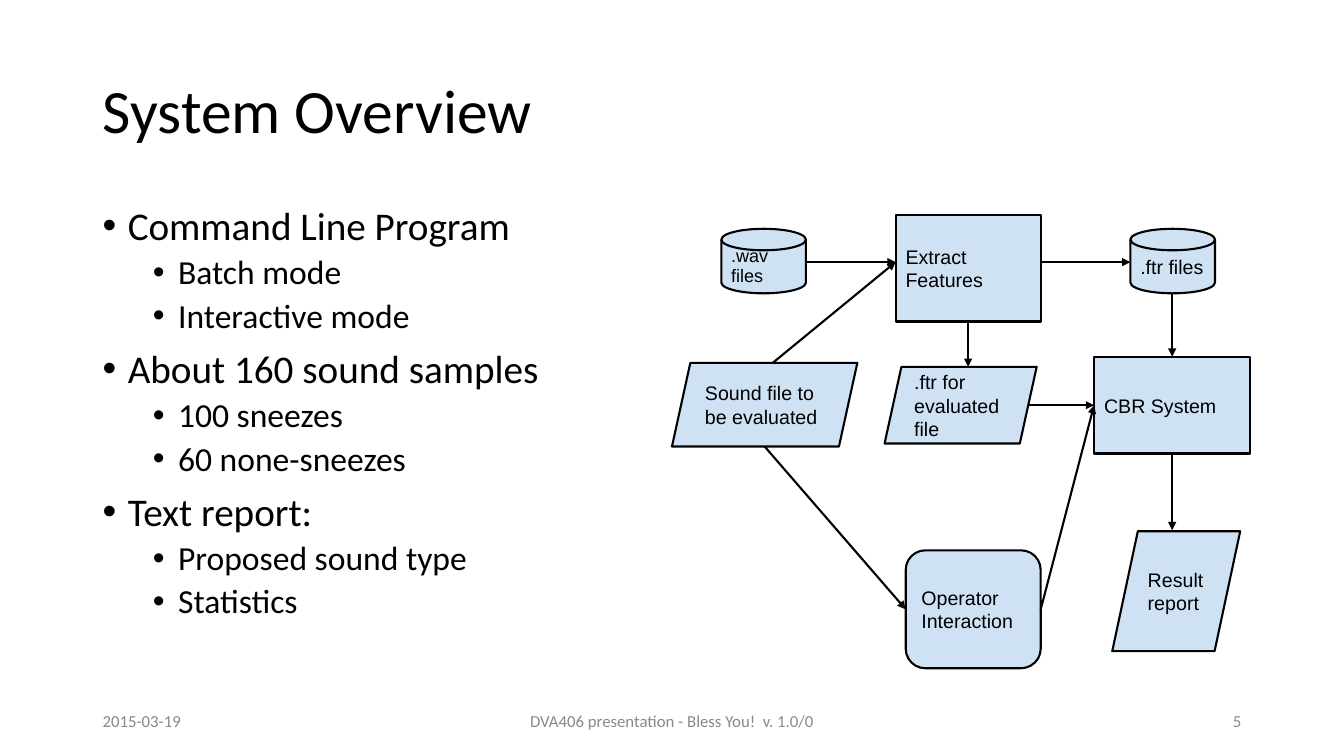
from lxml.etree import SubElement
from pptx import Presentation
from pptx.dml.color import RGBColor
from pptx.enum.shapes import MSO_CONNECTOR as Link, MSO_SHAPE as Kind
from pptx.enum.text import MSO_ANCHOR as Anchor, MSO_AUTO_SIZE as Fit, PP_ALIGN as Align
from pptx.oxml.ns import qn
from pptx.util import Inches, Pt

CELL = 0.1
INK, SKY, GREY = "000000", "CFE2F3", "898989"
TOP, LEFT, BOTTOM, RIGHT = range(4)

OUTLINE = [
    ("Command Line Program", ["Batch mode", "Interactive mode"]),
    ("About 160 sound samples", ["100 sneezes", "60 none-sneezes"]),
    ("Text report:", ["Proposed sound type", "Statistics"]),
]
FOOTER = [
    ("2015-03-19", (9.2, 69.5, 30, 4), Align.LEFT),
    ("DVA406 presentation - Bless You!  v. 1.0/0", (44.2, 69.5, 45, 4), Align.CENTER),
    ("5", (94.2, 69.5, 30, 4), Align.RIGHT),
]
NODES = {
    "extract": (Kind.RECTANGLE, (88.9, 21.3, 14.4, 10.6), "Extract Features"),
    "wav": (Kind.FLOWCHART_MAGNETIC_DISK, (71.6, 22.7, 8.4, 6.4), ".wav files"),
    "ftr": (Kind.FLOWCHART_MAGNETIC_DISK, (112.2, 22.7, 8.4, 6.4), ".ftr files"),
    "cbr": (Kind.RECTANGLE, (108.6, 35.4, 15.5, 9.6), "CBR System"),
    "evaluated": (Kind.PARALLELOGRAM, (87.8, 36.4, 15.1, 7.6), ".ftr for evaluated file"),
    "report": (Kind.FLOWCHART_DATA, (110.4, 52.7, 12.7, 11.9), "Result report"),
    "sound": (Kind.PARALLELOGRAM, (66.7, 36, 18.4, 8.3), "Sound file to be evaluated"),
    "operator": (Kind.ROUNDED_RECTANGLE, (89.9, 54.6, 13.4, 11.7), "Operator Interaction"),
}
TIGHT = {"wav": {"size": 12.9, "spacing": 0.9}}
ARROWS = [
    ((80, 26), (88.9, 26)),
    ((103.3, 26), (112.2, 26)),
    ((116.35, 29.2), ("cbr", TOP)),
    ((102.1, 40.2), ("cbr", LEFT)),
    (("cbr", BOTTOM), (116.35, 52.6)),
    ((76.7, 36), (88.9, 26)),
    (("extract", BOTTOM), (96.1, 36.4)),
    ((75.9, 44.3), ("operator", LEFT)),
    (("operator", RIGHT), ("cbr", LEFT)),
]


def grid(*cells):
    """Turn counts of grid cells into lengths."""
    return [Inches(cell * CELL) for cell in cells]


def apply(target, values):
    """Set each named value on the target."""
    for name, value in values.items():
        setattr(target, name, value)


def paint(color_format, color):
    """Give a colour format its hex colour."""
    color_format.rgb = RGBColor.from_string(color)


def write(para, text, font="Calibri", size=12, color=INK, spacing=1.0, before=0, align=Align.LEFT):
    """Put one styled run in a paragraph."""
    apply(para, {"alignment": align, "line_spacing": spacing, "space_before": Pt(before)})
    span = para.add_run()
    span.text = text
    apply(span.font, {"name": font, "size": Pt(size)})
    paint(span.font.color, color)


def prepare(box, anchor, inset=0.05):
    """Set wrapping, anchor and insets, and return the text frame."""
    frame = box.text_frame
    apply(frame, {
        "word_wrap": True, "auto_size": Fit.NONE, "vertical_anchor": anchor,
        "margin_left": Inches(0.1), "margin_right": Inches(0.1),
        "margin_top": Inches(inset), "margin_bottom": Inches(inset),
    })
    return frame


def add_title(page, text):
    """Place and fill the title placeholder."""
    title = page.shapes.title
    apply(title, dict(zip(("left", "top", "width", "height"), grid(9.2, 4, 115, 14.5))))
    write(prepare(title, Anchor.MIDDLE).paragraphs[0], text, size=44, spacing=0.9)


def add_bullet(para, text, level):
    """Write an outline line with its bullet and hanging indent."""
    size, before, indent = ((28, 10, 0.25), (24, 5, 0.75))[level]
    para.level = level
    write(para, text, size=size, spacing=0.9, before=before)
    props = para._p.get_or_add_pPr()
    props.set("marL", str(Inches(indent)))
    props.set("indent", str(Inches(-0.25)))
    SubElement(props, qn("a:buFont")).set("typeface", "Arial")
    SubElement(props, qn("a:buChar")).set("char", "•")


def add_outline(page):
    """Add the bulleted two-level outline."""
    frame = prepare(page.shapes.add_textbox(*grid(9.2, 20, 115, 47.6)), Anchor.TOP)
    lines = [(text, level) for head, items in OUTLINE
             for text, level in [(head, 0)] + [(item, 1) for item in items]]
    for index, (text, level) in enumerate(lines):
        add_bullet(frame.add_paragraph() if index else frame.paragraphs[0], text, level)


def add_footer(page, text, place, align):
    """Add one grey footer text."""
    box = page.shapes.add_textbox(*grid(*place))
    write(prepare(box, Anchor.MIDDLE).paragraphs[0], text, color=GREY, align=align)


def add_node(page, kind, place, text, style):
    """Add one labelled shape of the flow chart."""
    box = page.shapes.add_shape(kind, *grid(*place))
    box.shadow.inherit = False
    box.fill.solid()
    paint(box.fill.fore_color, SKY)
    paint(box.line.color, INK)
    box.line.width = Pt(1.5)
    if kind == Kind.PARALLELOGRAM:
        box.adjustments[0] = 0.22
    write(prepare(box, Anchor.MIDDLE, 0.1).paragraphs[0], text,
          **{"font": "Arial", "size": 14, **style})
    return box


def add_arrow(page, nodes, start, end):
    """Add an arrow between grid points or sides of nodes."""
    points = [(0, 0) if mark[0] in nodes else mark for mark in (start, end)]
    arrow = page.shapes.add_connector(Link.STRAIGHT, *grid(*points[0], *points[1]))
    for mark, join in ((start, arrow.begin_connect), (end, arrow.end_connect)):
        if mark[0] in nodes:
            join(nodes[mark[0]], mark[1])
    paint(arrow.line.color, INK)
    arrow.line.width = Pt(1.5)
    SubElement(arrow.line._get_or_add_ln(), qn("a:tailEnd")).set("type", "triangle")
    SubElement(arrow._element.spPr, qn("a:effectLst"))


def main():
    """Build and save the slide."""
    deck = Presentation()
    apply(deck, {"slide_width": Inches(13.34), "slide_height": Inches(7.5)})
    page = deck.slides.add_slide(deck.slide_layouts[5])
    add_title(page, "System Overview")
    add_outline(page)
    for text, place, align in FOOTER:
        add_footer(page, text, place, align)
    nodes = {name: add_node(page, *node, TIGHT.get(name, {})) for name, node in NODES.items()}
    for start, end in ARROWS:
        add_arrow(page, nodes, start, end)
    deck.save("out.pptx")


if __name__ == "__main__":
    main()
